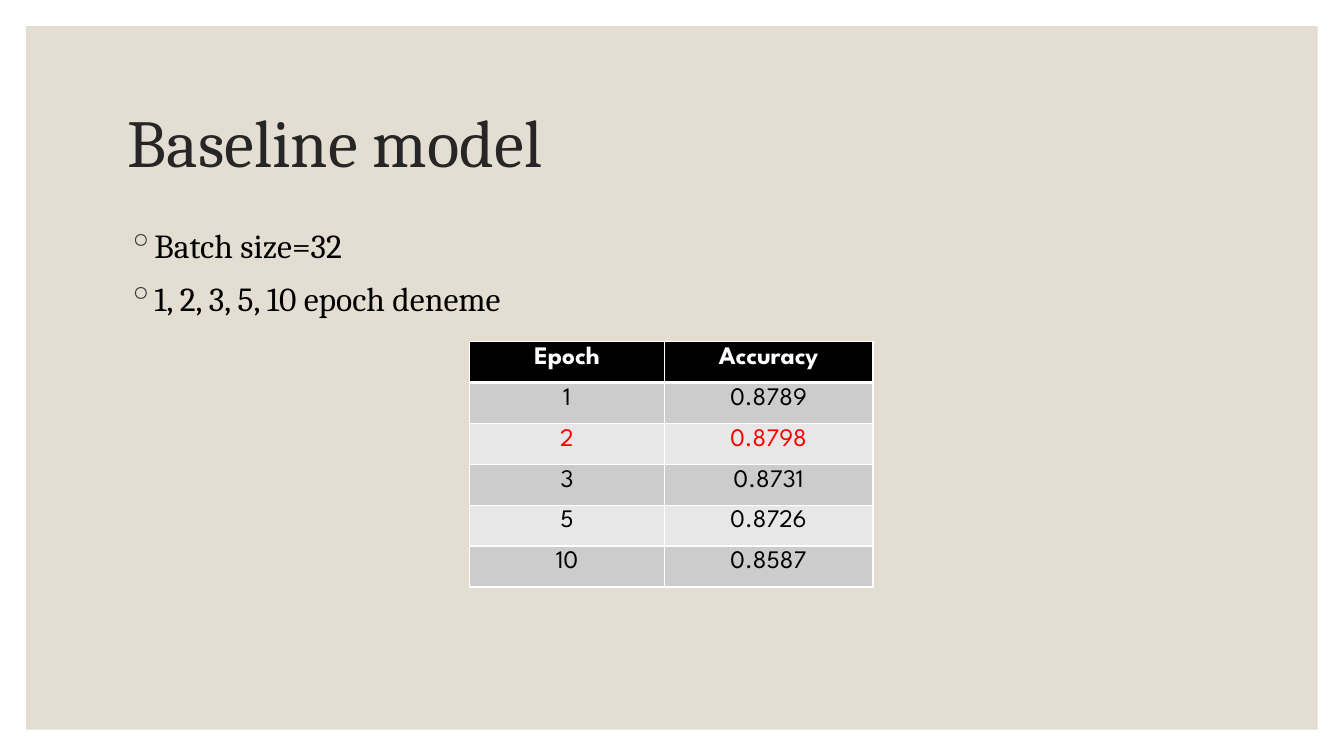
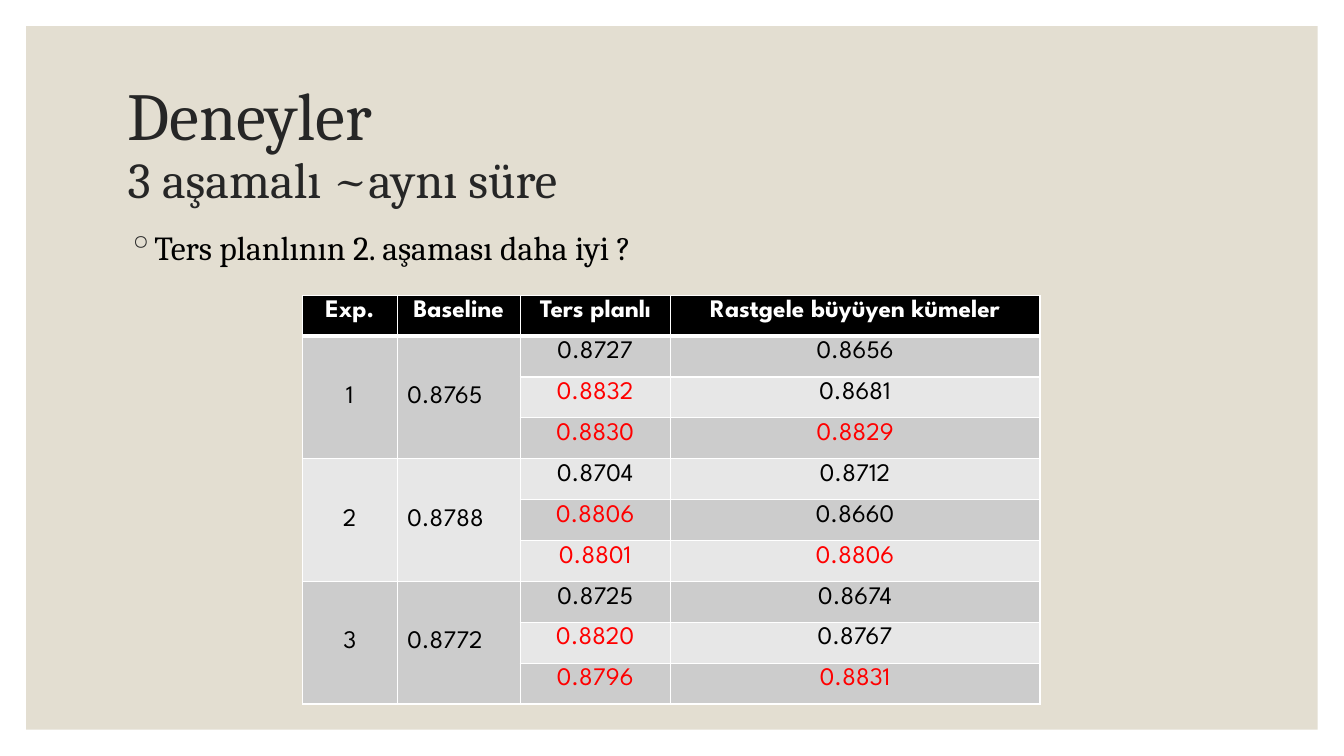
import pptx
import pptx.util
import pptx.dml.color
import pptx.enum.shapes
import pptx.enum.text
import pptx.oxml.ns
from lxml import etree

Cm = pptx.util.Cm
Pt = pptx.util.Pt
ALIGN = pptx.enum.text.PP_ALIGN
ANCHOR = pptx.enum.text.MSO_ANCHOR

PANEL, TITLE, BLACK, WHITE, RED = "E3DED1", "262626", "000000", "FFFFFF", "FF0000"
BANDS = ("CCCCCC", "E7E7E7")
SERIF, SANS = "Cambria", "League Spartan"
ROW_HEIGHT = 1.03
TITLE_BOX = (2.97, 1.78, 27.94, 3.81)


def color(value):
    """Turn a hex string into a colour."""
    return pptx.dml.color.RGBColor.from_string(value)


def add_xml(parent, tag, **attributes):
    """Append a DrawingML element and return it."""
    return etree.SubElement(parent, pptx.oxml.ns.qn(tag), attributes)


def add_run(paragraph, text, size, font, fill, bold=False):
    """Append a run of styled text."""
    run = paragraph.add_run()
    run.text = text
    run.font.size = Pt(size)
    run.font.name = font
    run.font.bold = bold
    run.font.color.rgb = color(fill)


def add_text_frame(slide, box):
    """Add a wrapping text box and return its text frame."""
    frame = slide.shapes.add_textbox(*map(Cm, box)).text_frame
    frame.word_wrap = True
    return frame


def add_panel(slide, margin=0.66):
    """Draw the beige panel inside a white margin."""
    panel = slide.shapes.add_shape(
        pptx.enum.shapes.MSO_SHAPE.RECTANGLE, Cm(margin), Cm(margin),
        presentation.slide_width - Cm(2 * margin),
        presentation.slide_height - Cm(2 * margin))
    panel.shadow.inherit = False
    panel.fill.solid()
    panel.fill.fore_color.rgb = color(PANEL)
    panel.line.fill.background()


def add_title(slide, box, title, subtitle=None):
    """Write the title, with an optional smaller second line."""
    frame = add_text_frame(slide, box)
    frame.vertical_anchor = ANCHOR.MIDDLE
    paragraph = frame.paragraphs[0]
    paragraph.line_spacing = 0.9
    add_run(paragraph, title, 48, SERIF, TITLE)
    if subtitle:
        paragraph.add_line_break()
        add_run(paragraph, subtitle, 36, SERIF, TITLE)


def add_bullets(slide, box, lines):
    """Write a list with hollow round bullets."""
    frame = add_text_frame(slide, box)
    for index, line in enumerate(lines):
        paragraph = frame.add_paragraph() if index else frame.paragraphs[0]
        paragraph.space_before = Pt(9)
        properties = paragraph._p.get_or_add_pPr()
        indent = Cm(0.51)
        properties.set("marL", str(indent))
        properties.set("indent", str(-indent))
        bullet_color = add_xml(properties, "a:buClr")
        add_xml(bullet_color, "a:srgbClr", val=TITLE)
        add_xml(properties, "a:buChar", char="◦")
        add_run(paragraph, line, 24, SERIF, BLACK)


def set_borders(cell, top, bottom):
    """Give a cell white borders, 1 pt wide at the sides."""
    properties = cell._tc.get_or_add_tcPr()
    widths = {"a:lnL": 1, "a:lnR": 1, "a:lnT": top, "a:lnB": bottom}
    for tag, width in widths.items():
        line = add_xml(properties, tag, w=str(Pt(width)))
        add_xml(add_xml(line, "a:solidFill"), "a:srgbClr", val=WHITE)


def style_cell(cell, row, fill):
    """Set the borders and fill of a cell; the header has a thick rule below."""
    set_borders(cell, top=3 if row == 1 else 1, bottom=3 if row == 0 else 1)
    cell.fill.solid()
    cell.fill.fore_color.rgb = color(fill)


def write_cell(cell, text, fill=BLACK, bold=False, align=ALIGN.CENTER):
    """Write one line of text in a cell."""
    paragraph = cell.text_frame.paragraphs[0]
    paragraph.alignment = align
    add_run(paragraph, text, 18, SANS, fill, bold)


def add_grid(slide, left, top, widths, headers, row_count):
    """Add a banded table with a black header and return it."""
    table = slide.shapes.add_table(
        row_count + 1, len(widths), Cm(left), Cm(top),
        Cm(sum(widths)), Cm(ROW_HEIGHT * (row_count + 1))).table
    for column, width in zip(table.columns, widths):
        column.width = Cm(width)
    for row_index, row in enumerate(table.rows):
        row.height = Cm(ROW_HEIGHT)
        fill = BANDS[(row_index - 1) % 2] if row_index else BLACK
        for cell in row.cells:
            style_cell(cell, row_index, fill)
    for column_index, header in enumerate(headers):
        write_cell(table.cell(0, column_index), header, WHITE, bold=True)
    return table


def add_epoch_table(slide, left, top, results):
    """List accuracy by epoch, with the best row in red."""
    table = add_grid(slide, left, top, (4.9, 5.26), ("Epoch", "Accuracy"), len(results))
    best = max(accuracy for _, accuracy in results)
    for row, (epoch, accuracy) in enumerate(results, 1):
        fill = RED if accuracy == best else BLACK
        write_cell(table.cell(row, 0), str(epoch), fill)
        write_cell(table.cell(row, 1), f"{accuracy:.4f}", fill)


def add_experiment_table(slide, left, top, experiments):
    """List the stages of each experiment; values above the baseline are red."""
    stage_count = len(experiments[0][1])
    headers = ("Exp.", "Baseline", "Ters planlı", "Rastgele büyüyen kümeler")
    table = add_grid(slide, left, top, (2.39, 3.1, 3.78, 9.32), headers,
                     stage_count * len(experiments))
    for number, (baseline, stages) in enumerate(experiments, 1):
        first = 1 + (number - 1) * stage_count
        labels = ((str(number), ALIGN.CENTER), (f"{baseline:.4f}", ALIGN.LEFT))
        for column, (label, align) in enumerate(labels):
            cell = table.cell(first, column)
            cell.merge(table.cell(first + stage_count - 1, column))
            cell.vertical_anchor = ANCHOR.MIDDLE
            write_cell(cell, label, align=align)
        for row, values in enumerate(stages, first):
            for column, value in enumerate(values, len(labels)):
                fill = RED if value > baseline else BLACK
                write_cell(table.cell(row, column), f"{value:.4f}", fill)


def add_content_slide(title, subtitle, bullets, bullet_top):
    """Add a slide with the panel, a title and bullets."""
    slide = presentation.slides.add_slide(presentation.slide_layouts[6])
    add_panel(slide)
    add_title(slide, TITLE_BOX, title, subtitle)
    add_bullets(slide, (TITLE_BOX[0], bullet_top, TITLE_BOX[2], 10.92), bullets)
    return slide


presentation = pptx.Presentation()
presentation.slide_width = Cm(33.87)
presentation.slide_height = Cm(19.05)

baseline_slide = add_content_slide(
    "Baseline model", None, ("Batch size=32", "1, 2, 3, 5, 10 epoch deneme"), 5.54)
add_epoch_table(baseline_slide, 11.84, 8.61, (
    (1, 0.8789), (2, 0.8798), (3, 0.8731), (5, 0.8726), (10, 0.8587)))

experiment_slide = add_content_slide(
    "Deneyler", "3 aşamalı ~aynı süre", ("Ters planlının 2. aşaması daha iyi ?",), 5.59)
add_experiment_table(experiment_slide, 7.62, 7.44, (
    (0.8765, ((0.8727, 0.8656), (0.8832, 0.8681), (0.8830, 0.8829))),
    (0.8788, ((0.8704, 0.8712), (0.8806, 0.8660), (0.8801, 0.8806))),
    (0.8772, ((0.8725, 0.8674), (0.8820, 0.8767), (0.8796, 0.8831)))))

presentation.save("out.pptx")
